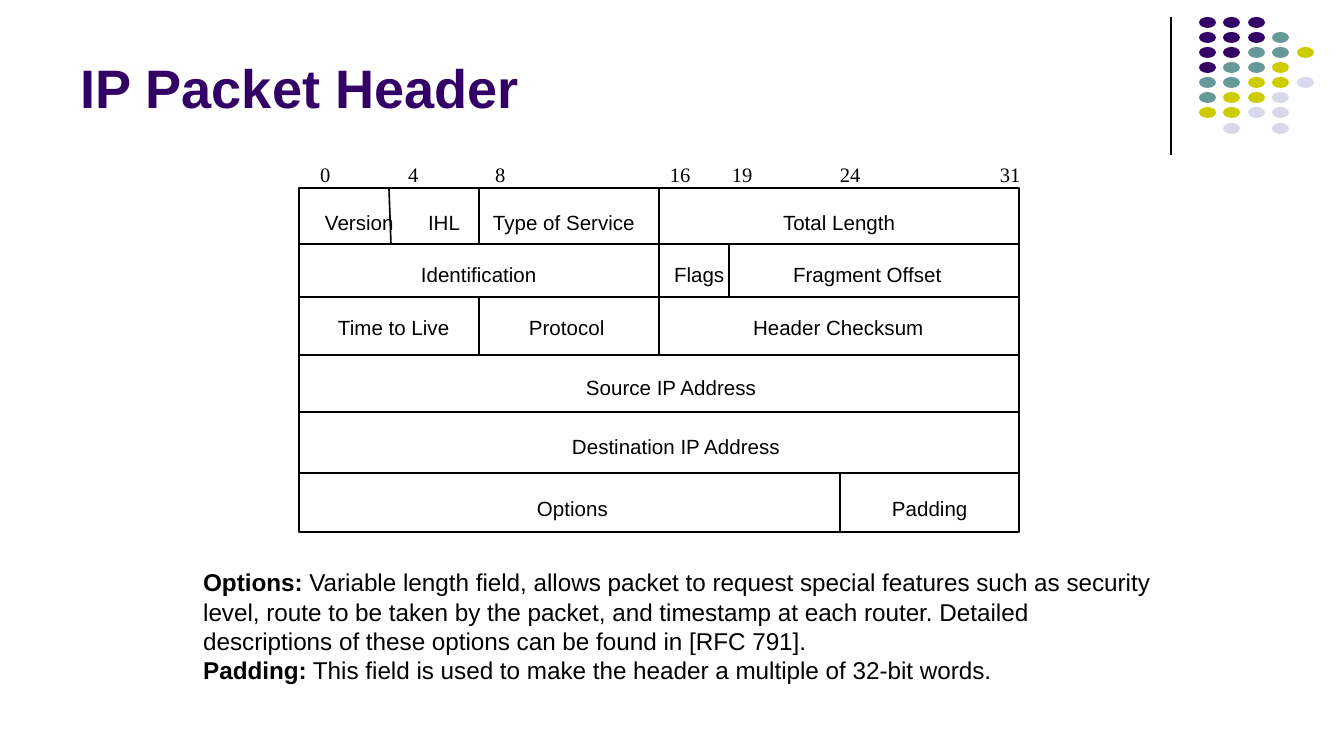
from typing import NamedTuple

from pptx import Presentation
from pptx import util as u
from pptx.dml.color import RGBColor
from pptx.enum import shapes, text
from pptx.oxml.ns import qn

EMU_PER_PX = 914400 / 134.4
LABEL_SLACK = 10
COLORS = {
    "ink": "000000",
    "P": "330066",
    "T": "669999",
    "Y": "CCCC00",
    "L": "D8D8EC",
}
DOT_ROWS = ["PPP", "PPPT", "PPTTY", "PTTY", "TTYYL", "TYYL", "YYLL", ".L.L"]


class Box(NamedTuple):
    left: int
    top: int
    width: int
    height: int


class Segment(NamedTuple):
    x1: int
    y1: int
    x2: int
    y2: int


class Label(NamedTuple):
    left: int
    width: int
    words: str


class LabelRow(NamedTuple):
    top: int
    font: str
    labels: list[Label]


HEADER = Box(299, 188, 720, 344)
HEADER_RIGHT = HEADER.left + HEADER.width
HEADER_BOTTOM = HEADER.top + HEADER.height
HEADER_MIDDLE = HEADER.left + HEADER.width // 2
ROW_LINES = [244, 297, 355, 412, 473]
FIELD_LINES = [
    Segment(479, ROW_LINES[2], 479, ROW_LINES[1]),
    Segment(479, ROW_LINES[0], 479, HEADER.top),
    Segment(391, ROW_LINES[0], 389, HEADER.top),
    Segment(729, ROW_LINES[1], 729, ROW_LINES[0]),
    Segment(840, HEADER_BOTTOM, 840, ROW_LINES[4]),
]
LABEL_ROWS = [
    LabelRow(162, "Times New Roman", [
        Label(320, 11, "0"), Label(408, 11, "4"), Label(495, 11, "8"),
        Label(670, 21, "16"), Label(732, 21, "19"), Label(840, 21, "24"),
        Label(1000, 21, "31")]),
    LabelRow(210, "Arial", [
        Label(325, 69, "Version"), Label(428, 33, "IHL"),
        Label(493, 143, "Type of Service"), Label(783, 113, "Total Length")]),
    LabelRow(262, "Arial", [
        Label(421, 117, "Identification"), Label(674, 51, "Flags"),
        Label(793, 149, "Fragment Offset")]),
    LabelRow(315, "Arial", [
        Label(338, 112, "Time to Live"), Label(529, 77, "Protocol"),
        Label(753, 171, "Header Checksum")]),
    LabelRow(375, "Arial", [Label(586, 172, "Source IP Address")]),
    LabelRow(434, "Arial", [Label(572, 209, "Destination IP Address")]),
    LabelRow(496, "Arial", [Label(537, 72, "Options"), Label(892, 77, "Padding")]),
]
DEFINITIONS = [
    ("Options:", " Variable length field, allows packet to request special features "
     "such as security level, route to be taken by the packet, and timestamp at each "
     "router. Detailed descriptions of these options can be found in [RFC 791]."),
    ("Padding:", " This field is used to make the header a multiple of 32-bit words."),
]


def px(length: int) -> int:
    return round(length * EMU_PER_PX)


def place(box: Box) -> list[int]:
    return [px(side) for side in box]


def style(run, font: str, size: int, color: str, bold: bool = False) -> None:
    run.font.name = font
    run.font.size = u.Pt(size)
    run.font.bold = bold
    run.font.color.rgb = RGBColor.from_string(COLORS[color])


def draw_line(slide, segment: Segment, weight: float = 0.88):
    line = slide.shapes.add_connector(
        shapes.MSO_CONNECTOR.STRAIGHT, *[px(end) for end in segment])
    line.line.width = u.Pt(weight)
    line.line.color.rgb = RGBColor.from_string(COLORS["ink"])
    line._element.spPr.append(line._element.makeelement(qn("a:effectLst"), {}))
    return line


def draw_dots(slide) -> None:
    for row, dots in enumerate(DOT_ROWS):
        for column, color in enumerate(dots):
            if color == ".":
                continue
            spot = Box(1199 + column * 49 // 2, 17 + row * 106 // 7, 17, 11)
            dot = slide.shapes.add_shape(shapes.MSO_SHAPE.OVAL, *place(spot))
            dot.shadow.inherit = False
            dot.fill.solid()
            dot.fill.fore_color.rgb = RGBColor.from_string(COLORS[color])
            dot.line.fill.background()


def draw_title(slide) -> None:
    title = slide.shapes.title
    title.left, title.top, title.width, title.height = place(Box(67, 13, 1109, 113))
    frame = title.text_frame
    frame.text = "IP Packet Header"
    frame.auto_size = text.MSO_AUTO_SIZE.NONE
    frame.vertical_anchor = text.MSO_ANCHOR.BOTTOM
    frame.paragraphs[0].alignment = text.PP_ALIGN.LEFT
    style(frame.paragraphs[0].runs[0], "Arial", 29, "P", True)


def draw_header(slide) -> None:
    header = slide.shapes.add_shape(shapes.MSO_SHAPE.RECTANGLE, *place(HEADER))
    header.shadow.inherit = False
    header.fill.background()
    header.line.width = u.Pt(0.88)
    header.line.color.rgb = RGBColor.from_string(COLORS["ink"])
    for y in ROW_LINES:
        draw_line(slide, Segment(HEADER.left, y, HEADER_RIGHT, y))
    half_word = draw_line(
        slide, Segment(HEADER_MIDDLE, ROW_LINES[2], HEADER_MIDDLE, HEADER.top))
    half_word.end_connect(header, 0)
    for field_line in FIELD_LINES:
        draw_line(slide, field_line)


def draw_labels(slide, row: LabelRow) -> None:
    for label in row.labels:
        field = slide.shapes.add_textbox(
            *place(Box(label.left, row.top, label.width + LABEL_SLACK, 24)))
        frame = field.text_frame
        frame.margin_left = frame.margin_right = 0
        frame.margin_top = frame.margin_bottom = 0
        frame.word_wrap = True
        frame.text = label.words
        frame.paragraphs[0].alignment = text.PP_ALIGN.LEFT
        style(frame.paragraphs[0].runs[0], row.font, 11, "ink")


def draw_definitions(slide) -> None:
    frame = slide.shapes.add_textbox(*place(Box(190, 561, 986, 130))).text_frame
    frame.word_wrap = True
    for index, (term, meaning) in enumerate(DEFINITIONS):
        paragraph = frame.add_paragraph() if index else frame.paragraphs[0]
        for words, bold in ((term, True), (meaning, False)):
            run = paragraph.add_run()
            run.text = words
            style(run, "Arial", 13, "ink", bold)


def main() -> None:
    deck = Presentation()
    deck.slide_width, deck.slide_height = px(1344), px(756)
    slide = deck.slides.add_slide(deck.slide_layouts[5])
    draw_line(slide, Segment(1171, 17, 1171, 155), 0.75)
    draw_dots(slide)
    draw_title(slide)
    draw_header(slide)
    for row in LABEL_ROWS:
        draw_labels(slide, row)
    draw_definitions(slide)
    deck.save("out.pptx")


if __name__ == "__main__":
    main()
